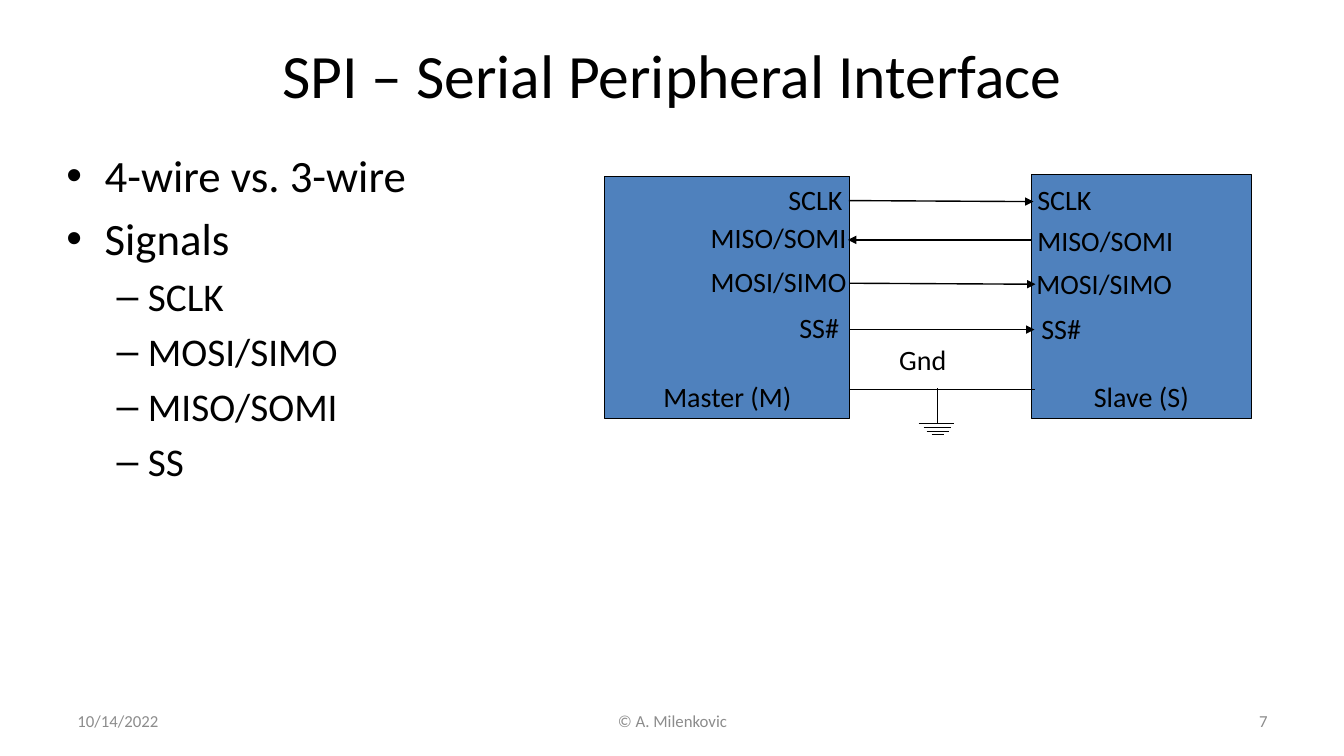
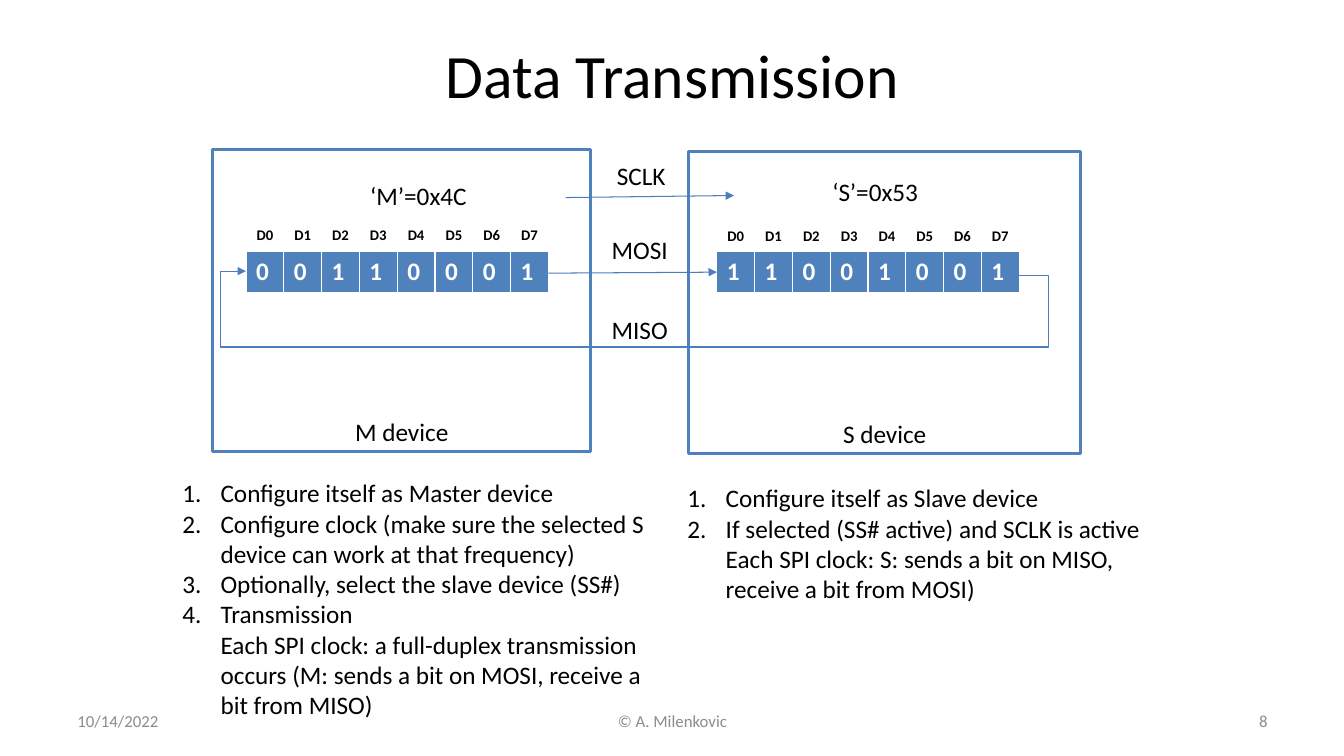
from dataclasses import dataclass
from typing import NamedTuple

from lxml.etree import SubElement
from pptx import Presentation
from pptx.dml.color import RGBColor
from pptx.enum.shapes import MSO_CONNECTOR, MSO_SHAPE
from pptx.enum.text import MSO_ANCHOR, PP_ALIGN
from pptx.oxml.ns import qn
from pptx.shapes.connector import Connector
from pptx.slide import Slide
from pptx.text.text import TextFrame
from pptx.util import Emu, Pt

EMU_PER_PX = 9144  # 100 px to the inch


def px(length: int) -> Emu:
    return Emu(length * EMU_PER_PX)


@dataclass(frozen=True)
class Theme:
    font: str = "Calibri"
    black: str = "000000"
    white: str = "FFFFFF"
    grey: str = "8C8C8C"
    blue: str = "4F81BD"
    wire_blue: str = "4B7EBC"
    title: float = 44
    body: float = 32
    sub_body: float = 28
    pin: float = 20
    text: float = 18
    footer: float = 12
    bit_name: float = 10.5


THEME = Theme()


class Box(NamedTuple):
    left: int
    top: int
    width: int
    height: int

    def emu(self) -> list[Emu]:
        return [px(length) for length in self]


class Label(NamedTuple):
    text: str
    box: Box


class Wire(NamedTuple):
    x1: int
    y1: int
    x2: int
    y2: int


class Block(NamedTuple):
    name: str
    box: Box


class Register(NamedTuple):
    bits: str
    left: int
    names_top: int


class Steps(NamedTuple):
    box: Box
    items: tuple[str, ...]


TITLE_BOX = Box(67, 30, 1200, 87)
BODY_BOX = Box(56, 142, 1200, 495)
REGISTER_WIDTH, BITS_TOP, BITS_HEIGHT, NAMES_HEIGHT = 300, 249, 41, 28


# Text

def write_text(frame: TextFrame, *texts: str, size: float, color: str = THEME.black,
               bold: bool = False, align: PP_ALIGN = PP_ALIGN.LEFT,
               anchor: MSO_ANCHOR = MSO_ANCHOR.TOP, wrap: bool = True, level: int = 0,
               bullet: str = "", numbered: bool = False, margin: int = 0,
               hanging: int = 0, space_before: float = 0, append: bool = False) -> None:
    """Write one paragraph per text; append keeps the paragraphs already there."""
    frame.word_wrap = wrap
    frame.vertical_anchor = anchor
    for index, text in enumerate(texts):
        fresh = index == 0 and not append
        paragraph = frame.paragraphs[0] if fresh else frame.add_paragraph()
        paragraph.text = text
        paragraph.alignment = align
        paragraph.level = level
        paragraph.space_before = Pt(space_before)
        for run in paragraph.runs:
            run.font.name = THEME.font
            run.font.size = Pt(size)
            run.font.bold = bold
            run.font.color.rgb = RGBColor.from_string(color)
        if bullet or numbered:
            properties = paragraph._p.get_or_add_pPr()
            properties.set("marL", str(px(margin)))
            properties.set("indent", str(-px(hanging)))
            if numbered:
                SubElement(properties, qn("a:buAutoNum"), type="arabicPeriod")
            else:
                SubElement(properties, qn("a:buFont"), typeface="Arial")
                SubElement(properties, qn("a:buChar"), char=bullet)


def add_text(slide: Slide, box: Box, *texts: str, **text_format) -> TextFrame:
    frame = slide.shapes.add_textbox(*box.emu()).text_frame
    write_text(frame, *texts, **text_format)
    return frame


# Shapes, wires and registers

def add_block(slide: Slide, block: Block, *, line: str, line_width: float, size: float,
              fill: str = "", wrap: bool = True) -> None:
    shape = slide.shapes.add_shape(MSO_SHAPE.RECTANGLE, *block.box.emu())
    shape.shadow.inherit = False
    if fill:
        shape.fill.solid()
        shape.fill.fore_color.rgb = RGBColor.from_string(fill)
    else:
        shape.fill.background()
    shape.line.color.rgb = RGBColor.from_string(line)
    shape.line.width = Pt(line_width)
    write_text(shape.text_frame, block.name, size=size, align=PP_ALIGN.CENTER,
               anchor=MSO_ANCHOR.BOTTOM, wrap=wrap)


def add_wire(slide: Slide, wire: Wire, *, color: str, width: float, arrow: bool = False,
             kind: MSO_CONNECTOR = MSO_CONNECTOR.STRAIGHT) -> Connector:
    connector = slide.shapes.add_connector(kind, *[px(length) for length in wire])
    connector.line.color.rgb = RGBColor.from_string(color)
    connector.line.width = Pt(width)
    properties = connector.element.spPr
    if arrow:
        SubElement(properties.find(qn("a:ln")), qn("a:tailEnd"), type="triangle")
    SubElement(properties, qn("a:effectLst"))
    return connector


def add_return_wire(slide: Slide, wire: Wire, right: int, bottom: int, left: int) -> None:
    """Run from the wire's right end, out and under, back to its left end."""
    connector = add_wire(slide, wire, color=THEME.wire_blue, width=0.75, arrow=True,
                         kind=MSO_CONNECTOR.ELBOW)
    properties = connector.element.spPr
    properties.find(qn("a:xfrm")).set("rot", str(180 * 60000))
    geometry = properties.find(qn("a:prstGeom"))
    geometry.set("prst", "bentConnector5")
    guides = geometry.find(qn("a:avLst"))
    width, height = wire.x2 - wire.x1, wire.y2 - wire.y1
    bends = ((wire.x2 - right) / width, (wire.y2 - bottom) / height,
             (wire.x2 - left) / width)
    for number, bend in enumerate(bends, start=1):
        SubElement(guides, qn("a:gd"), name=f"adj{number}", fmla=f"val {round(bend * 100000)}")


def add_bit_row(slide: Slide, box: Box, texts: list[str], *, fill: str = "",
                **text_format) -> None:
    table = slide.shapes.add_table(1, len(texts), *box.emu()).table
    for column, cell, text in zip(table.columns, table.rows[0].cells, texts):
        column.width = Emu(px(box.width) // len(texts))
        if fill:
            cell.fill.solid()
            cell.fill.fore_color.rgb = RGBColor.from_string(fill)
        else:
            cell.fill.background()
        write_text(cell.text_frame, text, bold=True, **text_format)


def add_register(slide: Slide, register: Register) -> None:
    add_bit_row(slide, Box(register.left, BITS_TOP, REGISTER_WIDTH, BITS_HEIGHT),
                list(register.bits), fill=THEME.blue, size=THEME.text, color=THEME.white)
    names = [f"D{index}" for index in range(len(register.bits))]
    add_bit_row(slide, Box(register.left, register.names_top, REGISTER_WIDTH, NAMES_HEIGHT),
                names, size=THEME.bit_name, align=PP_ALIGN.CENTER)


# Slides

def add_titled_slide(presentation: Presentation, title: str, number: int) -> Slide:
    slide = presentation.slides.add_slide(presentation.slide_layouts[5])
    placeholder = slide.shapes.title
    placeholder.left, placeholder.top, placeholder.width, placeholder.height = TITLE_BOX.emu()
    write_text(placeholder.text_frame, title, size=THEME.title, align=PP_ALIGN.CENTER,
               anchor=MSO_ANCHOR.MIDDLE)
    footers = (
        ("10/14/2022", 67, 311, PP_ALIGN.LEFT),
        ("© A. Milenkovic", 456, 422, PP_ALIGN.CENTER),
        (str(number), 956, 311, PP_ALIGN.RIGHT),
    )
    for text, left, width, align in footers:
        add_text(slide, Box(left, 695, width, 40), text, size=THEME.footer,
                 color=THEME.grey, align=align, anchor=MSO_ANCHOR.MIDDLE)
    return slide


def build_interface_slide(presentation: Presentation) -> None:
    slide = add_titled_slide(presentation, "SPI – Serial Peripheral Interface", 7)
    body = add_text(slide, BODY_BOX, "4-wire vs. 3-wire", "Signals", size=THEME.body,
                    bullet="•", margin=38, hanging=38, space_before=6.4)
    write_text(body, "SCLK", "MOSI/SIMO", "MISO/SOMI", "SS", size=THEME.sub_body, level=1,
               bullet="–", margin=81, hanging=31, space_before=5.6, append=True)

    # Devices
    for block in (Block("Master (M)", Box(600, 175, 243, 240)),
                  Block("Slave (S)", Box(1023, 173, 218, 242))):
        add_block(slide, block, fill=THEME.blue, line=THEME.black, line_width=0.75,
                  size=THEME.pin, wrap=False)

    # Signals
    for wire in (Wire(842, 199, 1025, 200), Wire(1023, 238, 841, 238),
                 Wire(843, 281, 1027, 282), Wire(843, 327, 1026, 327)):
        add_wire(slide, wire, color=THEME.black, width=1, arrow=True)

    # Ground
    for wire in (Wire(842, 386, 1027, 386), Wire(930, 385, 930, 420),
                 Wire(911, 420, 946, 420), Wire(916, 424, 943, 424),
                 Wire(919, 428, 941, 428), Wire(924, 431, 936, 431)):
        add_wire(slide, wire, color=THEME.black, width=0.75)

    # Pin names
    for label in (Label("SCLK", Box(772, 176, 90, 44)),
                  Label("SCLK", Box(1019, 176, 90, 44)),
                  Label("MISO/SOMI", Box(695, 214, 161, 44)),
                  Label("MISO/SOMI", Box(1019, 217, 165, 44)),
                  Label("MOSI/SIMO", Box(695, 258, 165, 44)),
                  Label("MOSI/SIMO", Box(1018, 259, 161, 44)),
                  Label("SS#", Box(783, 303, 75, 44)),
                  Label("SS#", Box(1023, 304, 75, 44)),
                  Label("Gnd", Box(882, 335, 90, 44))):
        add_text(slide, label.box, label.text, size=THEME.pin)


def build_transmission_slide(presentation: Presentation) -> None:
    slide = add_titled_slide(presentation, "Data Transmission", 8)

    # Devices and their shift registers
    for block in (Block("M device", Box(211, 148, 375, 300)),
                  Block("S device", Box(683, 150, 389, 300))):
        add_block(slide, block, line=THEME.blue, line_width=2, size=THEME.text)
    for register in (Register("00110001", 244, 220), Register("11001001", 711, 221)):
        add_register(slide, register)

    # Signals
    for wire in (Wire(561, 196, 728, 194), Wire(544, 271, 711, 270)):
        add_wire(slide, wire, color=THEME.wire_blue, width=0.75, arrow=True)
    add_return_wire(slide, Wire(244, 269, 1011, 273), right=1040, bottom=344, left=219)

    # Values and signal names
    for label in (Label("‘M’=0x4C", Box(336, 174, 158, 40)),
                  Label("‘S’=0x53", Box(814, 170, 108, 40)),
                  Label("SCLK", Box(586, 154, 100, 40)),
                  Label("MOSI", Box(586, 228, 97, 40)),
                  Label("MISO", Box(586, 307, 97, 40))):
        add_text(slide, label.box, label.text, size=THEME.text, align=PP_ALIGN.CENTER)

    # Steps of each device
    for steps in (
        Steps(Box(171, 469, 500, 252), (
            "Configure itself as Master device",
            "Configure clock (make sure the selected S device can work at that frequency)",
            "Optionally, select the slave device (SS#)",
            "Transmission\nEach SPI clock: a full-duplex transmission occurs "
            "(M: sends a bit on MOSI, receive a bit from MISO)")),
        Steps(Box(672, 474, 500, 131), (
            "Configure itself as Slave device",
            "If selected (SS# active) and SCLK is active\n"
            "Each SPI clock: S: sends a bit on MISO, receive a bit from MOSI)")),
    ):
        add_text(slide, steps.box, *steps.items, size=THEME.text, numbered=True,
                 margin=38, hanging=38)


def main() -> None:
    presentation = Presentation()
    presentation.slide_width, presentation.slide_height = px(1333), px(750)
    build_interface_slide(presentation)
    build_transmission_slide(presentation)
    presentation.save("out.pptx")


if __name__ == "__main__":
    main()
